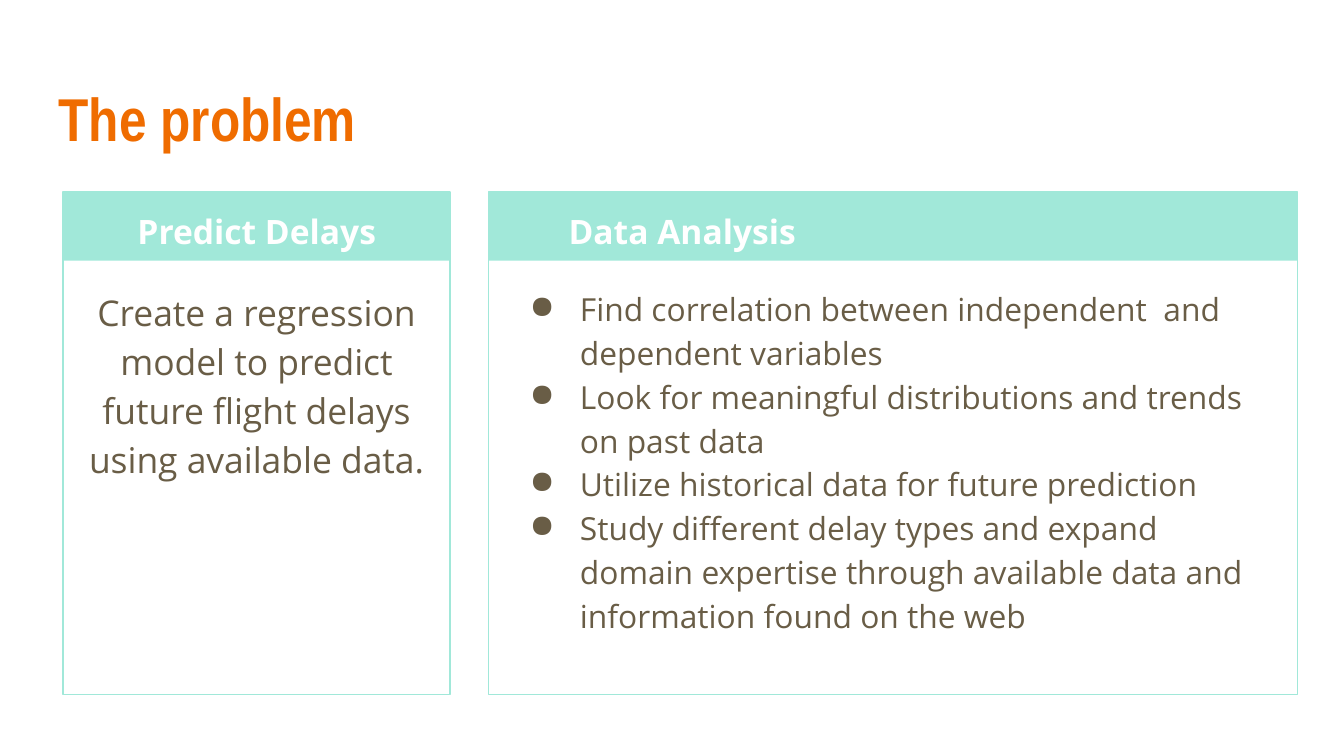
from lxml import etree
from pptx import Presentation
from pptx.dml.color import RGBColor
from pptx.enum import shapes, text
from pptx.oxml import ns
from pptx.util import Cm, Pt

COLORS = {"title": "EF6C00", "mint": "A1E8D9", "heading": "FFFFFF", "body": "695D46"}
CARD_TOP, CARD_HEIGHT, HEADER_HEIGHT = 3.63, 9.5, 1.3
INSET = Cm(0.25)


def color(name):
    return RGBColor.from_string(COLORS[name])


def add_text(slide, box, lines, size, ink, font="Open Sans", bold=False,
             align=text.PP_ALIGN.LEFT, anchor=text.MSO_ANCHOR.TOP, spacing=1.15):
    """Add a text box with one paragraph per line and return its paragraphs."""
    frame = slide.shapes.add_textbox(*map(Cm, box)).text_frame
    frame.word_wrap = True
    frame.vertical_anchor = anchor
    frame.margin_left = frame.margin_right = INSET
    frame.margin_top = frame.margin_bottom = INSET
    frame.text = "\n".join(lines)
    for paragraph in frame.paragraphs:
        paragraph.alignment = align
        paragraph.line_spacing = spacing
        for run in paragraph.runs:
            run.font.name = font
            run.font.size = Pt(size)
            run.font.bold = bold
            run.font.color.rgb = color(ink)
    return frame.paragraphs


def add_bullet(paragraph):
    props = paragraph._p.get_or_add_pPr()
    props.set("marL", str(Cm(1.27)))
    props.set("indent", str(Cm(-0.95)))
    bullet_color = etree.SubElement(props, ns.qn("a:buClr"))
    etree.SubElement(bullet_color, ns.qn("a:srgbClr"), val=COLORS["body"])
    etree.SubElement(props, ns.qn("a:buChar"), char="●")


def add_card(slide, left, width, heading):
    """Draw a grouped header band and outline, with its heading on top."""
    card = slide.shapes.add_group_shape()
    band, outline = (
        card.shapes.add_shape(shapes.MSO_SHAPE.RECTANGLE, Cm(left), Cm(CARD_TOP),
                              Cm(width), Cm(height))
        for height in (HEADER_HEIGHT, CARD_HEIGHT))
    band.shadow.inherit = outline.shadow.inherit = False
    band.fill.solid()
    band.fill.fore_color.rgb = color("mint")
    band.line.fill.background()
    outline.fill.background()
    outline.line.color.rgb = color("mint")
    outline.line.width = Pt(0.75)
    add_text(slide, (left + 0.2, CARD_TOP, 6.93, 1.27), [heading], 18, "heading",
             bold=True, align=text.PP_ALIGN.CENTER)


def add_card_body(slide, left, width, lines, size, **style):
    box = (left + 0.21, CARD_TOP + 1.5, width - 0.42, 7.77)
    return add_text(slide, box, lines, size, "body", **style)


def main():
    deck = Presentation()
    deck.slide_width, deck.slide_height = Cm(25.4), Cm(14.29)
    slide = deck.slides.add_slide(deck.slide_layouts[6])

    add_text(slide, (0.86, 1.24, 23.67, 1.96), ["The problem"], 32.4, "title",
             font="Arial Narrow", bold=True, anchor=text.MSO_ANCHOR.MIDDLE, spacing=1)

    predict = (1.19, 7.32)
    add_card(slide, *predict, "Predict Delays")
    goal = add_card_body(
        slide, *predict,
        ["Create a regression model to predict future flight delays using available data."],
        19, align=text.PP_ALIGN.CENTER)
    goal[0].space_after = Pt(12)

    analysis = (9.23, 15.29)
    add_card(slide, *analysis, "Data Analysis")
    tasks = add_card_body(slide, *analysis, [
        "Find correlation between independent  and dependent variables",
        "Look for meaningful distributions and trends on past data",
        "Utilize historical data for future prediction",
        "Study different delay types and expand domain expertise through "
        "available data and information found on the web",
    ], 17)
    for task in tasks:
        add_bullet(task)

    deck.save("out.pptx")


if __name__ == "__main__":
    main()
